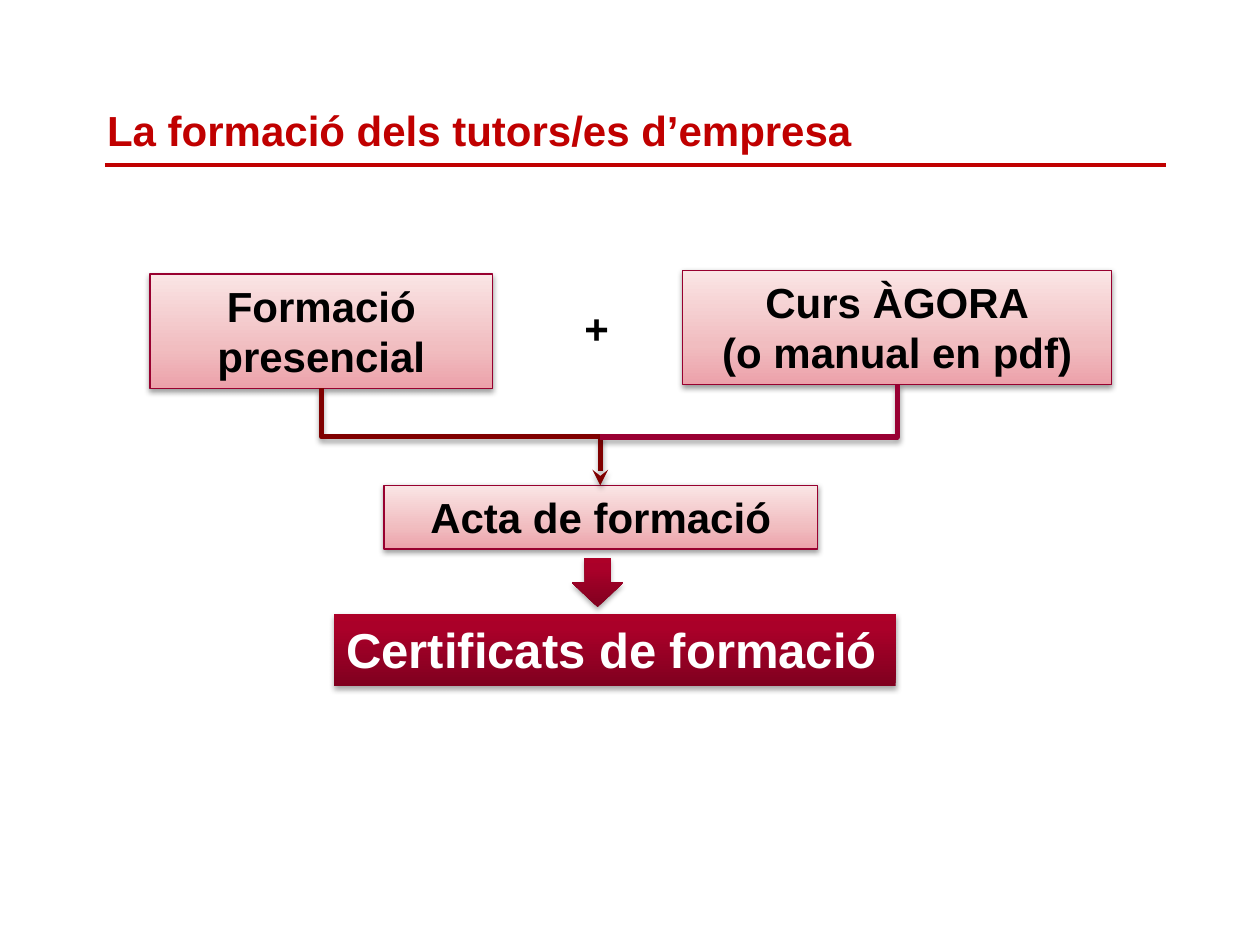
from copy import deepcopy
from pptx import Presentation
from pptx.dml.color import RGBColor
from pptx.enum import shapes, text
from pptx.oxml import parse_xml
from pptx.oxml.ns import nsdecls, qn
from pptx.util import Pt

FONT = "Arial"
COLOURS = {
    "red": "C00000", "black": "000000", "white": "FFFFFF",
    "border": "98002F", "maroon": "800000", "crimson": "990033",
}
GRADIENTS = {
    "pink": [(0, "ECA1AA"), (0.35, "F1BDC0"), (1, "FAE5E5")],
    "wine": [(0, "80001F"), (0.8, "AA0029"), (1, "AD0028")],
}
SHADOWS = {"pink": (38, 1.57), "wine": (35, 1.81)}

TITLE = "La formació dels tutors/es d’empresa"
CENTER, LEFT = text.PP_ALIGN.CENTER, text.PP_ALIGN.LEFT
BOXES = [
    (["Curs ÀGORA", "(o manual en pdf)"], (390.2, 154.5, 245, 65.4), "pink", 24, "black", CENTER),
    (["Acta de formació"], (219.4, 277.4, 247.7, 36.4), "pink", 24, "black", CENTER),
    (["Certificats de formació"], (190.8, 350.6, 321.1, 41.2), "wine", 28, "white", LEFT),
    (["Formació presencial"], (85.7, 156.5, 195.8, 65.4), "pink", 24, "black", CENTER),
]
PLUS = (326.9, 169.5, 29.2, 36.4)
ARROW = (326.9, 319, 29.2, 28)
JUNCTION = (343, 249.7)
ELBOWS = [
    ("bentConnector3", (183.6, 221.9), (JUNCTION[0], 277.4), 270, True, "maroon", True),
    ("bentConnector2", (512.7, 219.9), JUNCTION, 90, False, "crimson", False),
]


def colour(name):
    return RGBColor.from_string(COLOURS[name])


def points(values):
    return [Pt(value) for value in values]


def write(frame, lines, size, name, align):
    frame.word_wrap = True
    for index, line in enumerate(lines):
        para = frame.paragraphs[0] if index == 0 else frame.add_paragraph()
        para.alignment = align
        span = para.add_run()
        span.text = line
        span.font.name, span.font.size, span.font.bold = FONT, Pt(size), True
        span.font.color.rgb = colour(name)


def set_effects(shape, shadow=None):
    effects = parse_xml(f"<a:effectLst {nsdecls('a')}/>")
    if shadow:
        alpha, distance = shadow
        effects.append(parse_xml(
            f'<a:outerShdw {nsdecls("a")} blurRad="{Pt(3.15)}" dist="{Pt(distance)}" '
            f'dir="5400000" rotWithShape="0"><a:srgbClr val="000000">'
            f'<a:alpha val="{alpha * 1000}"/></a:srgbClr></a:outerShdw>'))
    shape._element.spPr.append(effects)


def fill_gradient(shape, stops):
    shape.fill.gradient()
    shape.fill.gradient_angle = 90
    stop_list = shape._element.spPr.find(".//" + qn("a:gsLst"))
    stop_list.append(deepcopy(stop_list[-1]))
    for stop, (position, value) in zip(shape.fill.gradient_stops, stops):
        stop.position = position
        stop.color.rgb = RGBColor.from_string(value)


def add_block(page, kind, place, style):
    shape = page.shapes.add_shape(kind, *points(place))
    fill_gradient(shape, GRADIENTS[style])
    if style == "pink":
        shape.line.color.rgb = colour("border")
        shape.line.width = Pt(0.75)
    else:
        shape.line.fill.background()
    set_effects(shape, SHADOWS[style])
    return shape


def add_line(page, kind, start, end, name, width, shadow=None):
    line = page.shapes.add_connector(kind, *points(start + end))
    line.line.color.rgb = colour(name)
    line.line.width = Pt(width)
    set_effects(line, shadow)
    return line


def add_elbow(page, preset, start, end, turn, flip, name, arrow):
    elbow = add_line(page, shapes.MSO_CONNECTOR.ELBOW, start, end, name, 3, SHADOWS["wine"])
    across, down = abs(end[0] - start[0]), end[1] - start[1]
    middle_x, middle_y = (start[0] + end[0]) / 2, (start[1] + end[1]) / 2
    elbow.left, elbow.top = points((middle_x - down / 2, middle_y - across / 2))
    elbow.width, elbow.height = points((down, across))
    properties = elbow._element.spPr
    frame = properties.find(qn("a:xfrm"))
    frame.attrib.pop("flipH", None)
    frame.set("rot", str(turn * 60000))
    if flip:
        frame.set("flipH", "1")
    properties.find(qn("a:prstGeom")).set("prst", preset)
    if arrow:
        properties.find(qn("a:ln")).append(
            parse_xml(f'<a:tailEnd {nsdecls("a")} type="stealth"/>'))


def main():
    deck = Presentation()
    deck.slide_width, deck.slide_height = Pt(720), Pt(540)
    page = deck.slides.add_slide(deck.slide_layouts[5])

    add_line(page, shapes.MSO_CONNECTOR.STRAIGHT, (60, 94.3), (666, 94.3), "red", 2.25)
    title = page.shapes.title
    title.left, title.top, title.width, title.height = points((54, 13, 612, 79.2))
    title.text_frame.vertical_anchor = text.MSO_ANCHOR.BOTTOM
    title.text_frame.auto_size = text.MSO_AUTO_SIZE.NONE
    write(title.text_frame, [TITLE], 24, "red", LEFT)

    for lines, place, style, size, name, align in BOXES:
        box = add_block(page, shapes.MSO_SHAPE.RECTANGLE, place, style)
        box.text_frame.vertical_anchor = text.MSO_ANCHOR.TOP
        box.text_frame.auto_size = text.MSO_AUTO_SIZE.SHAPE_TO_FIT_TEXT
        write(box.text_frame, lines, size, name, align)

    plus = page.shapes.add_textbox(*points(PLUS))
    plus.text_frame.auto_size = text.MSO_AUTO_SIZE.SHAPE_TO_FIT_TEXT
    write(plus.text_frame, ["+"], 24, "black", LEFT)

    for elbow in ELBOWS:
        add_elbow(page, *elbow)
    add_block(page, shapes.MSO_SHAPE.DOWN_ARROW, ARROW, "wine")
    deck.save("out.pptx")


if __name__ == "__main__":
    main()
